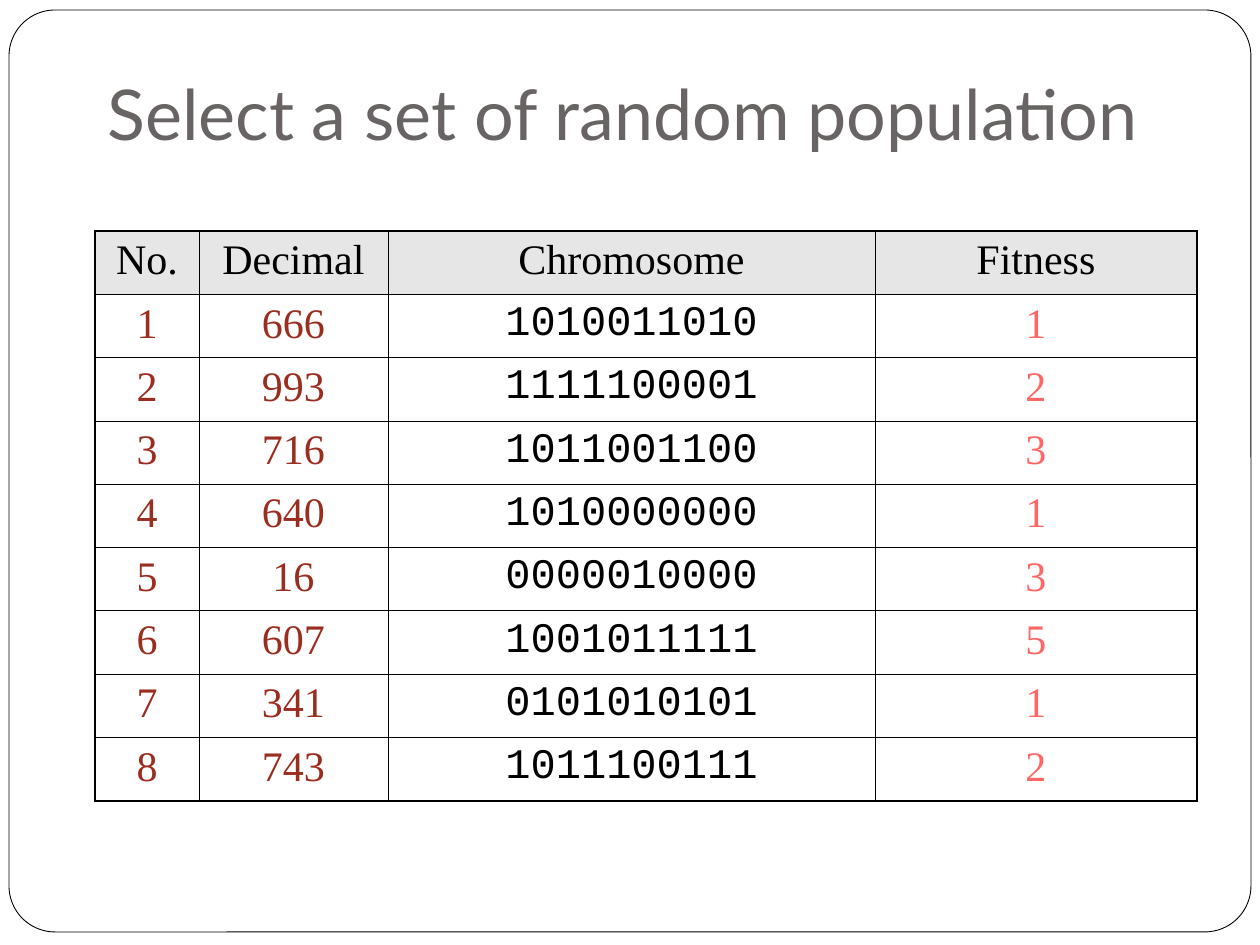
from lxml.etree import SubElement as Sub
from pptx import Presentation
from pptx.dml.color import RGBColor as RGB
from pptx.enum.shapes import MSO_SHAPE as Shape
from pptx.enum.text import MSO_ANCHOR as Anchor, MSO_AUTO_SIZE as Auto, PP_ALIGN as Align
from pptx.oxml.ns import qn
from pptx.util import Pt

BLACK = RGB(0x00, 0x00, 0x00)
WHITE = RGB(0xFF, 0xFF, 0xFF)
GRAY = RGB(0x69, 0x64, 0x64)
PALE = RGB(0xE6, 0xE6, 0xE6)
BROWN = RGB(0x9B, 0x2D, 0x1F)
CORAL = RGB(0xFF, 0x66, 0x66)
SERIF = "Times New Roman"
MONO = "Courier New"
THIN, THICK = Pt(0.45), Pt(1.08)
SCALE = 914400 / 126


def px(n):
    return round(n * SCALE)


def write(para, text, face, size, color):
    run = para.add_run()
    run.text = text
    run.font.name = face
    run.font.size = Pt(size)
    run.font.color.rgb = color


deck = Presentation()
deck.slide_width, deck.slide_height = px(1260), px(945)
slide = deck.slides.add_slide(deck.slide_layouts[5])

title = slide.shapes.title
title.left, title.top, title.width, title.height = px(95), px(63), px(1071), px(105)
frame = title.text_frame
frame.word_wrap = True
frame.auto_size = Auto.NONE
frame.vertical_anchor = Anchor.BOTTOM
frame.margin_bottom = px(13)
para = frame.paragraphs[0]
para.alignment = Align.LEFT
write(para, "Select a set of random population", "Lato", 40, GRAY)

border = slide.shapes.add_shape(Shape.ROUNDED_RECTANGLE, px(9), px(10), px(1242), px(922))
border.adjustments[0] = 0.05
border.shadow.inherit = False
border.fill.solid()
border.fill.fore_color.rgb = WHITE
border.line.color.rgb = BLACK
border.line.width = Pt(0.5)
title.element.addprevious(border.element)

heads = ["No.", "Decimal", "Chromosome", "Fitness"]
people = [
    (666, "1010011010", 1),
    (993, "1111100001", 2),
    (716, "1011001100", 3),
    (640, "1010000000", 1),
    (16, "0000010000", 3),
    (607, "1001011111", 5),
    (341, "0101010101", 1),
    (743, "1011100111", 2),
]
rows = [heads] + [(n, *person) for n, person in enumerate(people, 1)]
widths = [104, 189, 487, 322]
styles = [(SERIF, BROWN), (SERIF, BROWN), (MONO, BLACK), (SERIF, CORAL)]
end, last = len(rows) - 1, len(heads) - 1

table = slide.shapes.add_table(
    len(rows), len(heads), px(95), px(231), px(sum(widths)), px(570)
).table
table.first_row = table.horz_banding = False
for col, width in zip(table.columns, widths):
    col.width = px(width)

for r, row in enumerate(rows):
    for c, value in enumerate(row):
        cell = table.cell(r, c)
        cell.vertical_anchor = Anchor.TOP
        props = cell._tc.get_or_add_tcPr()
        edges = {"L": c == 0, "R": c == last, "T": r == 0, "B": r == end}
        for side, outer in edges.items():
            line = Sub(props, qn(f"a:ln{side}"), w=str(THICK if outer else THIN))
            Sub(Sub(line, qn("a:solidFill")), qn("a:srgbClr"), val=str(BLACK))
        if r == 0:
            cell.fill.solid()
            cell.fill.fore_color.rgb = PALE
            face, color = SERIF, BLACK
        else:
            cell.fill.background()
            face, color = styles[c]
        para = cell.text_frame.paragraphs[0]
        para.alignment = Align.CENTER
        write(para, str(value), face, 24, color)

deck.save("out.pptx")
